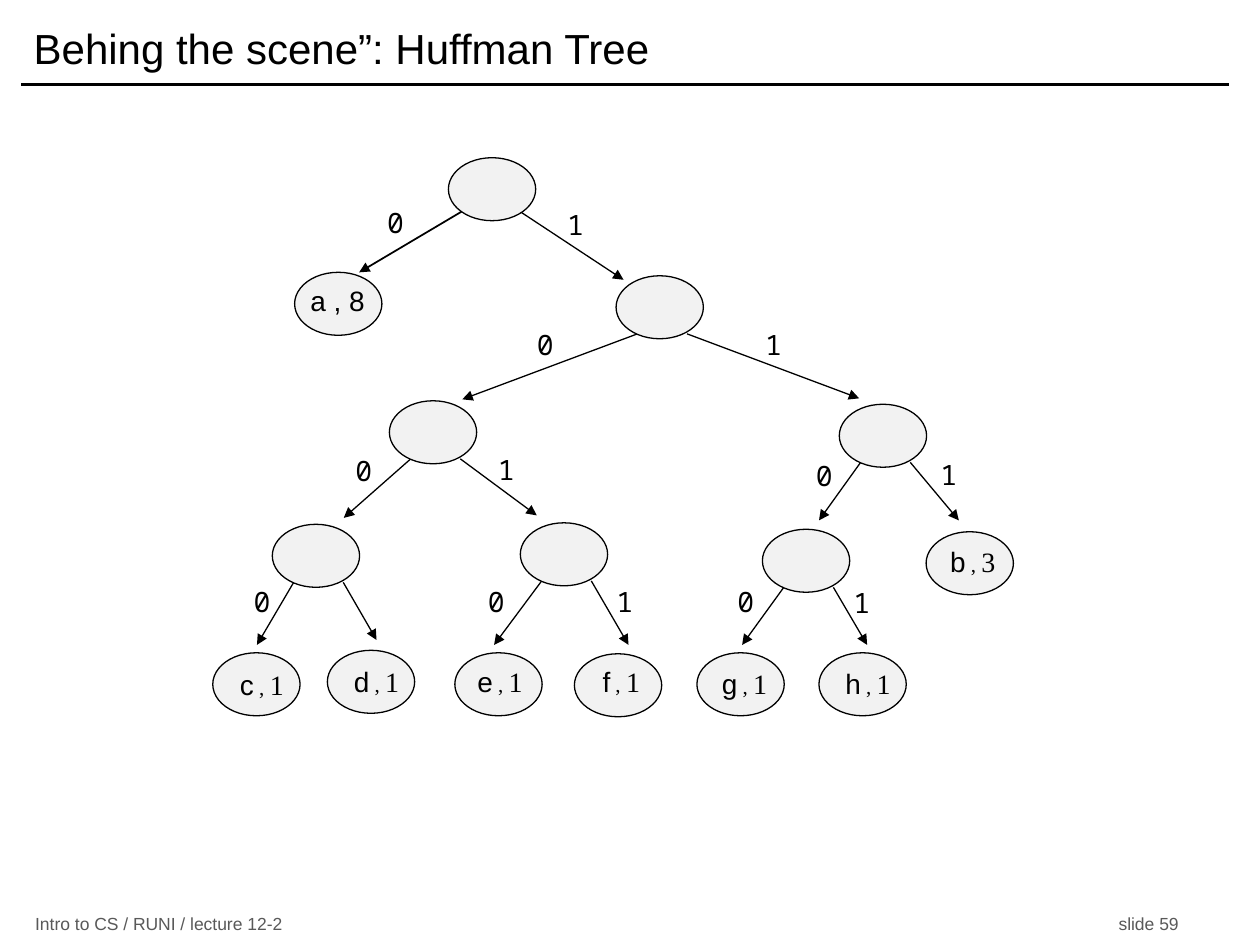
from dataclasses import dataclass
from typing import Optional

from lxml import etree
from pptx import Presentation
from pptx import util as u
from pptx.dml.color import RGBColor
from pptx.enum import shapes, text
from pptx.oxml.ns import qn

BLACK = RGBColor(0x00, 0x00, 0x00)
GREY = RGBColor(0x59, 0x59, 0x59)
NODE_FILL = RGBColor(0xF2, 0xF2, 0xF2)
SANS, SERIF, MONO = "Arial", "Times New Roman", "Noto Sans Mono"
NODE_W, NODE_H = 1.76, 1.27
BRANCH_DX = {"0": -0.45, "1": 0.55}
BRANCH_DY = 1.17
TEXT_H = 0.94


@dataclass
class Node:
    x: float
    y: float


@dataclass
class Branch:
    code: str
    tip: tuple[float, float]
    label: Optional[tuple[float, float]] = None
    start: Optional[tuple[float, float]] = None
    weight: float = 0.75


@dataclass
class Leaf:
    runs: list[tuple[str, str, float]]
    x: float
    y: float
    w: float = 1.42


def symbol(letter: str, count: str) -> list[tuple[str, str, float]]:
    return [(letter, SANS, 16), (" , ", SERIF, 12), (count, SERIF, 16)]


NODES = {
    "": Node(9.04, 3.18),
    "0": Node(5.94, 5.49),
    "1": Node(12.42, 5.56),
    "10": Node(7.85, 8.08),
    "11": Node(16.92, 8.15),
    "100": Node(5.49, 10.57),
    "101": Node(10.49, 10.54),
    "110": Node(15.37, 10.67),
    "111": Node(18.67, 10.72),
    "1000": Node(4.29, 13.16),
    "1001": Node(6.6, 13.11),
    "1010": Node(9.17, 13.16),
    "1011": Node(11.58, 13.18),
    "1100": Node(14.05, 13.16),
    "1101": Node(16.51, 13.16),
}

BRANCHES = [
    Branch("0", (7.24, 5.49), (7.57, 4.01), start=(9.3, 4.27), weight=1),
    Branch("1", (12.57, 5.64), (11.2, 4.06), start=(10.49, 4.27)),
    Branch("10", (9.32, 8.05), (10.59, 6.48)),
    Branch("11", (17.32, 8.03), (15.19, 6.48)),
    Branch("100", (6.93, 10.44), (6.93, 9.02)),
    Branch("101", (10.82, 10.39), (9.8, 8.99)),
    Branch("110", (16.51, 10.49), (16.21, 9.12)),
    Branch("111", (19.33, 10.49), (18.72, 9.09)),
    Branch("1000", (5.18, 13), (4.88, 11.66)),
    Branch("1001", (7.59, 12.9)),
    Branch("1010", (9.96, 13), (9.6, 11.66)),
    Branch("1011", (12.67, 13), (12.19, 11.66)),
    Branch("1100", (14.96, 13), (14.63, 11.66)),
    Branch("1101", (17.48, 13), (16.97, 11.68)),
]

LEAVES = [
    Leaf([("a , 8", SANS, 16)], 5.99, 5.59, 1.63),
    Leaf(symbol("b", "3"), 18.9, 10.85),
    Leaf(symbol("c", "1"), 4.57, 13.34),
    Leaf(symbol("d", "1"), 6.88, 13.28),
    Leaf(symbol("e", "1"), 9.37, 13.28),
    Leaf(symbol("f", "1"), 11.89, 13.28, 1.27),
    Leaf(symbol("g", "1"), 14.3, 13.31),
    Leaf(symbol("h", "1"), 16.79, 13.31),
]


def add_box(s, x: float, y: float, w: float, h: float):
    tf = s.shapes.add_textbox(u.Cm(x), u.Cm(y), u.Cm(w), u.Cm(h)).text_frame
    tf.word_wrap = True
    return tf


def add_centred(s, x: float, y: float, w: float, wrap: bool = True):
    tf = add_box(s, x, y, w, TEXT_H)
    tf.word_wrap = wrap
    tf.margin_left = tf.margin_right = 0
    p = tf.paragraphs[0]
    p.alignment = text.PP_ALIGN.CENTER
    return p


def set_font(font, name: str, size: float, color: RGBColor = BLACK) -> None:
    font.name = name
    font.size = u.Pt(size)
    font.color.rgb = color


def add_line(s, start: tuple[float, float], end: tuple[float, float],
             weight: float, arrow: bool = False) -> None:
    sp = s.shapes.add_connector(shapes.MSO_CONNECTOR.STRAIGHT,
                                *map(u.Cm, start + end))
    sp.line.color.rgb = BLACK
    sp.line.width = u.Pt(weight)
    if arrow:
        ln = sp._element.spPr.find(qn("a:ln"))
        etree.SubElement(ln, qn("a:tailEnd"), type="triangle")
    etree.SubElement(sp._element.spPr, qn("a:effectLst"))


def add_node(s, node: Node) -> None:
    sp = s.shapes.add_shape(shapes.MSO_SHAPE.OVAL, u.Cm(node.x), u.Cm(node.y),
                            u.Cm(NODE_W), u.Cm(NODE_H))
    sp.shadow.inherit = False
    sp.fill.solid()
    sp.fill.fore_color.rgb = NODE_FILL
    sp.line.color.rgb = BLACK
    sp.line.width = u.Pt(0.75)


def add_branch(s, branch: Branch) -> None:
    parent, bit = NODES[branch.code[:-1]], branch.code[-1]
    start = branch.start or (parent.x + NODE_W / 2 + BRANCH_DX[bit],
                             parent.y + BRANCH_DY)
    add_line(s, start, branch.tip, branch.weight, arrow=True)
    if branch.label:
        p = add_centred(s, *branch.label, 0.81)
        p.text = bit
        set_font(p.font, MONO, 16)


def add_leaf(s, leaf: Leaf) -> None:
    p = add_centred(s, leaf.x, leaf.y, leaf.w, wrap=False)
    for content, name, size in leaf.runs:
        r = p.add_run()
        r.text = content
        set_font(r.font, name, size)


def add_title(s) -> None:
    tf = add_box(s, 0.43, 0.22, 24.33, 1.47)
    tf.vertical_anchor = text.MSO_ANCHOR.MIDDLE
    p = tf.paragraphs[0]
    p.text = "Behing the scene”: Huffman Tree"
    set_font(p.font, SANS, 24)
    add_line(s, (0.43, 1.7), (24.77, 1.7), 2)


def add_footer(s) -> None:
    tf = add_box(s, 0.46, 18.38, 23.93, 0.48)
    tf.vertical_anchor = text.MSO_ANCHOR.MIDDLE
    p = tf.paragraphs[0]
    p.text = "Intro to CS / RUNI / lecture 12-2\tslide 59"
    tabs = etree.SubElement(p._p.get_or_add_pPr(), qn("a:tabLst"))
    etree.SubElement(tabs, qn("a:tab"), pos=str(u.Cm(21.84)), algn="l")
    set_font(p.font, SANS, 10, GREY)


def main() -> None:
    prs = Presentation()
    prs.slide_width, prs.slide_height = u.Cm(25.4), u.Cm(19.05)
    s = prs.slides.add_slide(prs.slide_layouts[6])
    add_title(s)
    add_footer(s)
    for branch in BRANCHES:
        add_branch(s, branch)
    for node in NODES.values():
        add_node(s, node)
    for leaf in LEAVES:
        add_leaf(s, leaf)
    prs.save("out.pptx")


if __name__ == "__main__":
    main()
